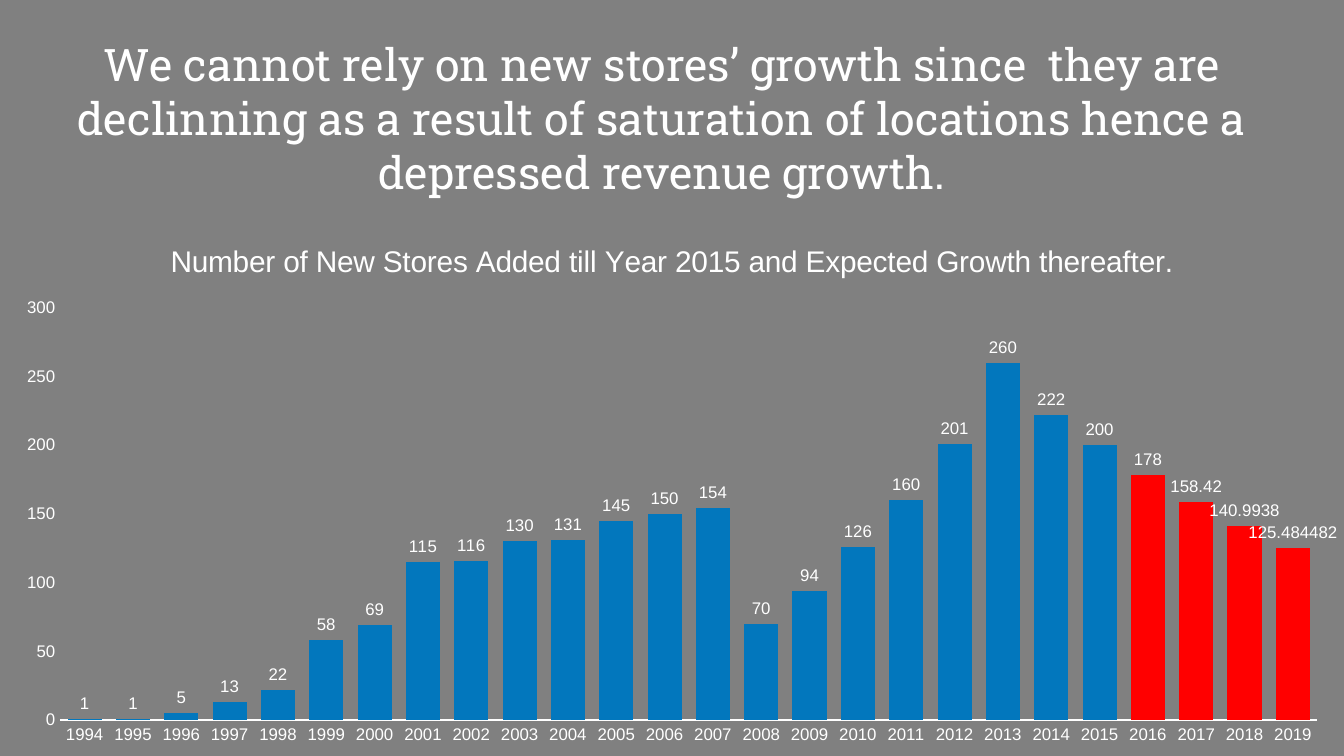
from dataclasses import dataclass

from lxml.etree import SubElement
from pptx import Presentation
from pptx.chart.data import CategoryChartData
from pptx.dml.color import RGBColor
from pptx.enum.chart import XL_CHART_TYPE, XL_LABEL_POSITION, XL_TICK_MARK
from pptx.enum.text import MSO_ANCHOR, PP_ALIGN
from pptx.oxml.ns import qn
from pptx.util import Inches, Pt

GRAY = RGBColor(0x80, 0x80, 0x80)
WHITE = RGBColor(0xFF, 0xFF, 0xFF)
BLUE = RGBColor(0x02, 0x77, 0xBD)
RED = RGBColor(0xFF, 0x00, 0x00)

HEADLINE = (
    "We cannot rely on new stores’ growth since  they are declinning "
    "as a result of saturation of locations hence a depressed revenue growth."
)
CHART_TITLE = "Number of New Stores Added till Year 2015 and Expected Growth thereafter."
FIRST_YEAR = 1994
FIRST_FORECAST_YEAR = 2016
NEW_STORES = (
    1, 1, 5, 13, 22, 58, 69, 115, 116, 130, 131, 145, 150, 154, 70, 94, 126,
    160, 201, 260, 222, 200, 178, 158.42, 140.9938, 125.484482,
)


@dataclass(frozen=True)
class Box:
    left: float
    top: float
    width: float
    height: float

    def lengths(self):
        return [Inches(v) for v in (self.left, self.top, self.width, self.height)]


HEADLINE_BOX = Box(0.35, 0.5, 9.15, 0.75)
CHART_BOX = Box(0, 1.63, 10, 4)
# Both are measured from the top left corner of the chart.
PLOT_BOX = Box(0.45, 0.66, 9.35, 3.07)
CHART_TITLE_BOX = Box(1.23, 0.13, 7.5, 0.4)


def format_font(font, *, size: float, name: str = "Arial", color: RGBColor = WHITE):
    font.size = Pt(size)
    font.name = name
    font.bold = False
    font.color.rgb = color


def add_text(slide, box: Box, text: str, *, size: float, name: str):
    shape = slide.shapes.add_textbox(*box.lengths())
    frame = shape.text_frame
    frame.word_wrap = True
    frame.vertical_anchor = MSO_ANCHOR.MIDDLE
    frame.margin_left = frame.margin_right = Inches(0.1)
    frame.margin_top = frame.margin_bottom = Inches(0.1)
    paragraph = frame.paragraphs[0]
    paragraph.alignment = PP_ALIGN.CENTER
    run = paragraph.add_run()
    run.text = text
    format_font(run.font, size=size, name=name)


def place_chart_part(part, box: Box, chart_box: Box, *, sized: bool):
    """Fix where a chart part stands, and its inner size too if sized."""
    settings = {
        "xMode": "edge",
        "yMode": "edge",
        "x": box.left / chart_box.width,
        "y": box.top / chart_box.height,
    }
    if sized:
        settings = {
            "layoutTarget": "inner",
            **settings,
            "w": box.width / chart_box.width,
            "h": box.height / chart_box.height,
        }
    layout = part.find(qn("c:layout"))
    if layout is None:
        layout = part.makeelement(qn("c:layout"))
        part.insert(0, layout)
    manual = SubElement(layout, qn("c:manualLayout"))
    for tag, value in settings.items():
        SubElement(manual, qn(f"c:{tag}")).set("val", str(value))


def format_axis(axis):
    axis.has_major_gridlines = False
    axis.major_tick_mark = axis.minor_tick_mark = XL_TICK_MARK.NONE
    format_font(axis.tick_labels.font, size=9)


def add_store_chart(slide, box: Box):
    data = CategoryChartData()
    data.categories = [str(FIRST_YEAR + i) for i in range(len(NEW_STORES))]
    data.add_series("Series 1", NEW_STORES)
    chart = slide.shapes.add_chart(
        XL_CHART_TYPE.COLUMN_CLUSTERED, *box.lengths(), data
    ).chart
    chart.has_legend = False
    format_font(chart.font, size=10)

    chart.has_title = True
    run = chart.chart_title.text_frame.paragraphs[0].add_run()
    run.text = CHART_TITLE
    format_font(run.font, size=16)

    format_axis(chart.category_axis)
    axis_line = chart.category_axis.format.line
    axis_line.color.rgb = WHITE
    axis_line.width = Pt(0.75)
    format_axis(chart.value_axis)
    chart.value_axis.format.line.fill.background()
    chart.value_axis.minimum_scale = 0
    chart.value_axis.maximum_scale = 300
    chart.value_axis.major_unit = 50

    plot = chart.plots[0]
    plot.gap_width = 42
    plot.overlap = 3
    plot.vary_by_categories = False
    series = plot.series[0]
    series.invert_if_negative = False
    series.format.fill.solid()
    series.format.fill.fore_color.rgb = BLUE
    for index in range(FIRST_FORECAST_YEAR - FIRST_YEAR, len(NEW_STORES)):
        fill = series.points[index].format.fill
        fill.solid()
        fill.fore_color.rgb = RED
    labels = series.data_labels
    labels.show_value = True
    labels.position = XL_LABEL_POSITION.OUTSIDE_END
    format_font(labels.font, size=9)

    chart_element = chart.element
    title = next(chart_element.iter(qn("c:title")))
    place_chart_part(title, CHART_TITLE_BOX, box, sized=False)
    plot_area = next(chart_element.iter(qn("c:plotArea")))
    place_chart_part(plot_area, PLOT_BOX, box, sized=True)


def main():
    presentation = Presentation()
    presentation.slide_width = Inches(10)
    presentation.slide_height = Inches(10) * 9 // 16
    slide = presentation.slides.add_slide(presentation.slide_layouts[6])
    slide.background.fill.solid()
    slide.background.fill.fore_color.rgb = GRAY
    add_text(slide, HEADLINE_BOX, HEADLINE, size=24, name="Roboto Slab")
    add_store_chart(slide, CHART_BOX)
    presentation.save("out.pptx")


if __name__ == "__main__":
    main()
